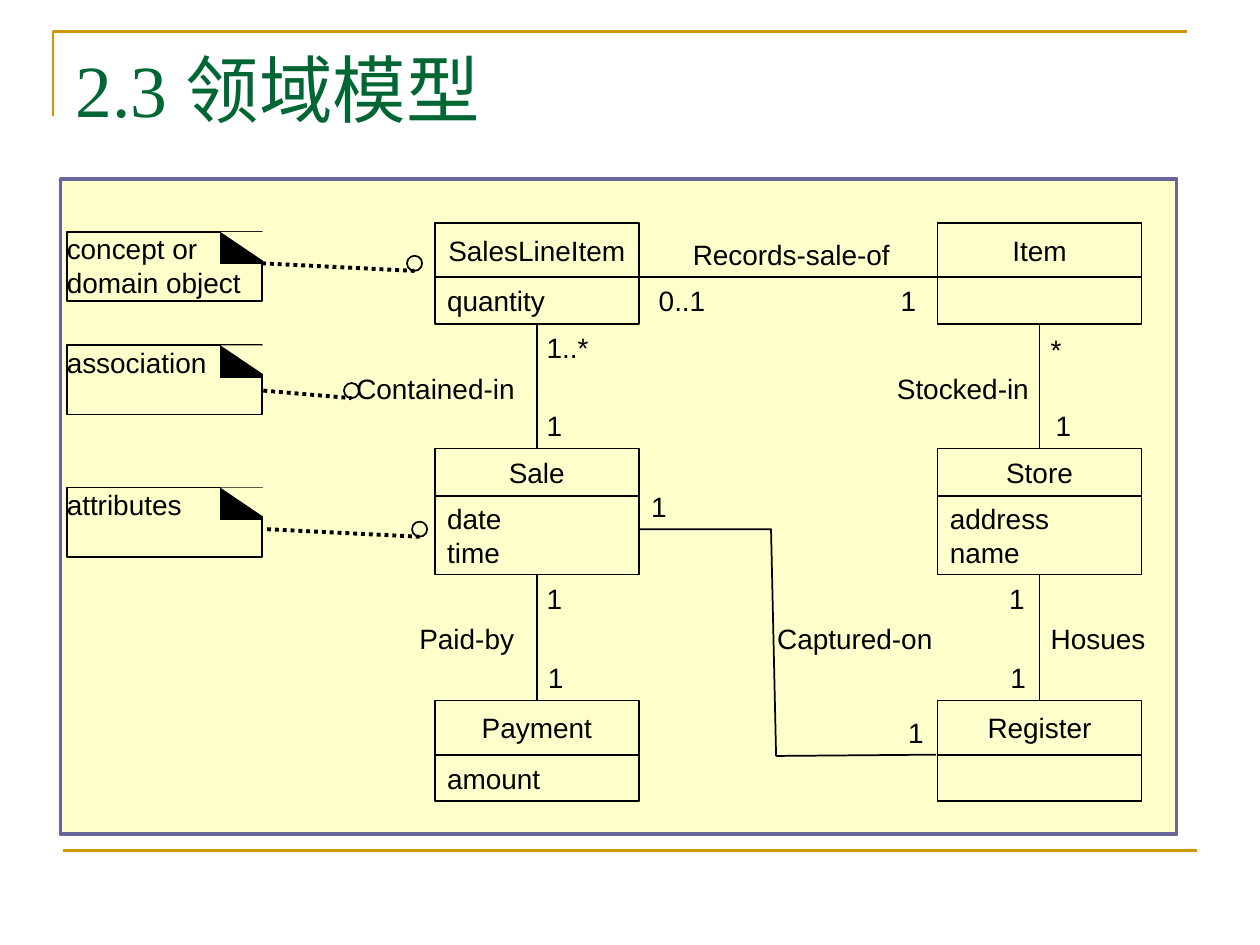
from lxml.etree import SubElement
from pptx import Presentation
from pptx.dml.color import RGBColor
from pptx.enum.dml import MSO_LINE_DASH_STYLE as DASH
from pptx.enum.shapes import MSO_CONNECTOR, MSO_SHAPE as SHAPE
from pptx.enum.text import MSO_ANCHOR as ANCHOR, PP_ALIGN as ALIGN
from pptx.oxml.ns import qn
from pptx.util import Inches, Pt

# The slide is a grid of 100 columns by 75 rows; all lengths are in cells.
COLUMNS, ROWS = 100, 75
CELL = Inches(10) // COLUMNS

BLACK, GOLD, GREEN = "000000", "CC9900", "006633"
CREAM, SLATE = "FFFFCC", "666699"

LEFT, RIGHT = 34.5, 74.4
TOP, MIDDLE, BOTTOM = 17.7, 35.6, 55.6
CLASS_W = 16.2
LABEL_H = 3.7
DOT = 1.2

# name: (left, top, height of name, height of attributes, attributes)
CLASSES = {
    "SalesLineItem": (LEFT, TOP, 4.3, 3.7, ["quantity"]),
    "Item": (RIGHT, TOP, 4.3, 3.7, []),
    "Sale": (LEFT, MIDDLE, 3.8, 6.2, ["date", "time"]),
    "Store": (RIGHT, MIDDLE, 3.8, 6.2, ["address", "name"]),
    "Payment": (LEFT, BOTTOM, 4.3, 3.7, ["amount"]),
    "Register": (RIGHT, BOTTOM, 4.3, 3.7, []),
}
ASSOCIATIONS = [("SalesLineItem", "Sale"), ("Sale", "Payment"),
                ("Item", "Store"), ("Store", "Register")]
# text, left, top, width
LABELS = [
    ("Contained-in", 27.3, 29, 14.6), ("Stocked-in", 70.2, 29, 12.5),
    ("Records-sale-of", 54, 18.3, 17.7), ("Paid-by", 32.3, 48.8, 9.5),
    ("Hosues", 82.4, 48.8, 9.5), ("Captured-on", 60.7, 48.8, 14.4),
    ("1..*", 42.4, 25.7, 5.4), ("0..1", 51.3, 22, 5.7), ("*", 82.4, 25.9, 2.9),
]
ONES = [(42.4, 31.9), (70.5, 22), (50.7, 38.3), (71.1, 56.3), (82.8, 31.9),
        (42.4, 45.6), (42.5, 51.9), (79.1, 45.6), (79.2, 51.9)]
# lines of text, top of note, pointer start, pointer end, pointer height
NOTES = [
    (["concept or", "domain object"], 18.4, 20.8, 32.3, 20.9),
    (["association"], 27.4, 20.9, 27.3, 31),
    (["attributes"], 38.7, 21.2, 32.7, 42),
]


def cells(*values):
    return [round(v * CELL) for v in values]


def color(code):
    return RGBColor.from_string(code)


def set_line(line, code, width):
    line.color.rgb = color(code)
    line.width = Pt(width)


def add_box(shapes, kind, box, fill=None, line=BLACK, width=1):
    sp = shapes.add_shape(kind, *cells(*box))
    sp.shadow.inherit = False
    if fill:
        sp.fill.solid()
        sp.fill.fore_color.rgb = color(fill)
    else:
        sp.fill.background()
    if line:
        set_line(sp.line, line, width)
    else:
        sp.line.fill.background()
    return sp


def write(sp, lines, align=ALIGN.LEFT, anchor=ANCHOR.MIDDLE, size=16,
          font="Arial", code=BLACK, wrap=False):
    tf = sp.text_frame
    tf.word_wrap = wrap
    tf.vertical_anchor = anchor
    for i, text in enumerate(lines):
        p = tf.add_paragraph() if i else tf.paragraphs[0]
        p.alignment = align
        r = p.add_run()
        r.text = text
        r.font.size = Pt(size)
        r.font.name = font
        r.font.color.rgb = color(code)


def add_label(s, text, x, y, w, h=LABEL_H, **style):
    write(s.shapes.add_textbox(*cells(x, y, w, h)), [text], **style)


def add_line(s, x1, y1, x2, y2, code=BLACK, width=1):
    cxn = s.shapes.add_connector(MSO_CONNECTOR.STRAIGHT, *cells(x1, y1, x2, y2))
    set_line(cxn.line, code, width)
    SubElement(cxn._element.spPr, qn("a:effectLst"))
    return cxn


def add_path(s, points, code=BLACK, width=1):
    """Draw an open, unfilled line through the points."""
    start, *rest = [cells(*point) for point in points]
    builder = s.shapes.build_freeform(*start)
    builder.add_line_segments(rest, close=False)
    sp = builder.convert_to_shape()
    sp.shadow.inherit = False
    sp.fill.background()
    set_line(sp.line, code, width)


def add_class(s, name, x, y, name_h, attr_h, attributes):
    """Add a two-part class box and return its parts."""
    shapes = s.shapes.add_group_shape().shapes
    head = add_box(shapes, SHAPE.RECTANGLE, (x, y, CLASS_W, name_h))
    write(head, [name], ALIGN.CENTER)
    body = add_box(shapes, SHAPE.RECTANGLE, (x, y + name_h, CLASS_W, attr_h))
    write(body, attributes)
    return head, body


def add_note(s, lines, y):
    """Add a note with a folded corner."""
    shapes = s.shapes.add_group_shape().shapes
    sp = add_box(shapes, SHAPE.RECTANGLE, (5.3, y, 15.5, 5.5))
    tf = sp.text_frame
    tf.margin_left = tf.margin_top = tf.margin_right = tf.margin_bottom = 0
    write(sp, lines, anchor=ANCHOR.TOP, wrap=True)
    add_box(shapes, SHAPE.RECTANGLE, (17.5, y, 3.2, 2.5), BLACK)
    fold = add_box(shapes, SHAPE.RIGHT_TRIANGLE, (17.5, y, 3.7, 2.5), CREAM, None)
    fold.rotation = 180


def add_pointer(s, x1, x2, y):
    """Add a dotted line that ends in a small circle."""
    cxn = add_line(s, x1, y, x2, y, width=2.25)
    cxn.line.dash_style = DASH.ROUND_DOT
    circle = add_box(s.shapes, SHAPE.OVAL, (x2, y - DOT / 2, DOT, DOT))
    cxn.end_connect(circle, 2)  # an oval has eight sites; 2 is its left


def add_frame(s):
    add_path(s, [(4.2, 9.2), (4.2, 2.5), (94.2, 2.5)], GOLD, 1.5)
    add_line(s, 5, 67.5, 95, 67.5, GOLD, 1.5)
    add_label(s, "2.3 领域模型", 5, 3, 90, 12.5, anchor=ANCHOR.TOP, size=42,
              font="Times New Roman", code=GREEN, wrap=True)
    add_box(s.shapes, SHAPE.RECTANGLE, (4.8, 14.2, 88.6, 52), CREAM, SLATE, 2)


def main():
    prs = Presentation()
    prs.slide_width, prs.slide_height = cells(COLUMNS, ROWS)
    s = prs.slides.add_slide(prs.slide_layouts[6])
    add_frame(s)

    parts = {name: add_class(s, name, *data) for name, data in CLASSES.items()}
    for upper, lower in ASSOCIATIONS:
        cxn = add_line(s, 0, 0, 0, 0)
        cxn.begin_connect(parts[upper][1], 2)
        cxn.end_connect(parts[lower][0], 0)
    add_line(s, LEFT + CLASS_W, 22, RIGHT, 22)
    add_path(s, [(50.7, 42), (61.2, 42), (61.6, 60), (74.3, 59.9)])

    for label in LABELS:
        add_label(s, *label)
    for x, y in ONES:
        add_label(s, "1", x, y, 3.2)

    for lines, top, x1, x2, y in NOTES:
        add_note(s, lines, top)
        add_pointer(s, x1, x2, y)
    prs.save("out.pptx")


if __name__ == "__main__":
    main()
